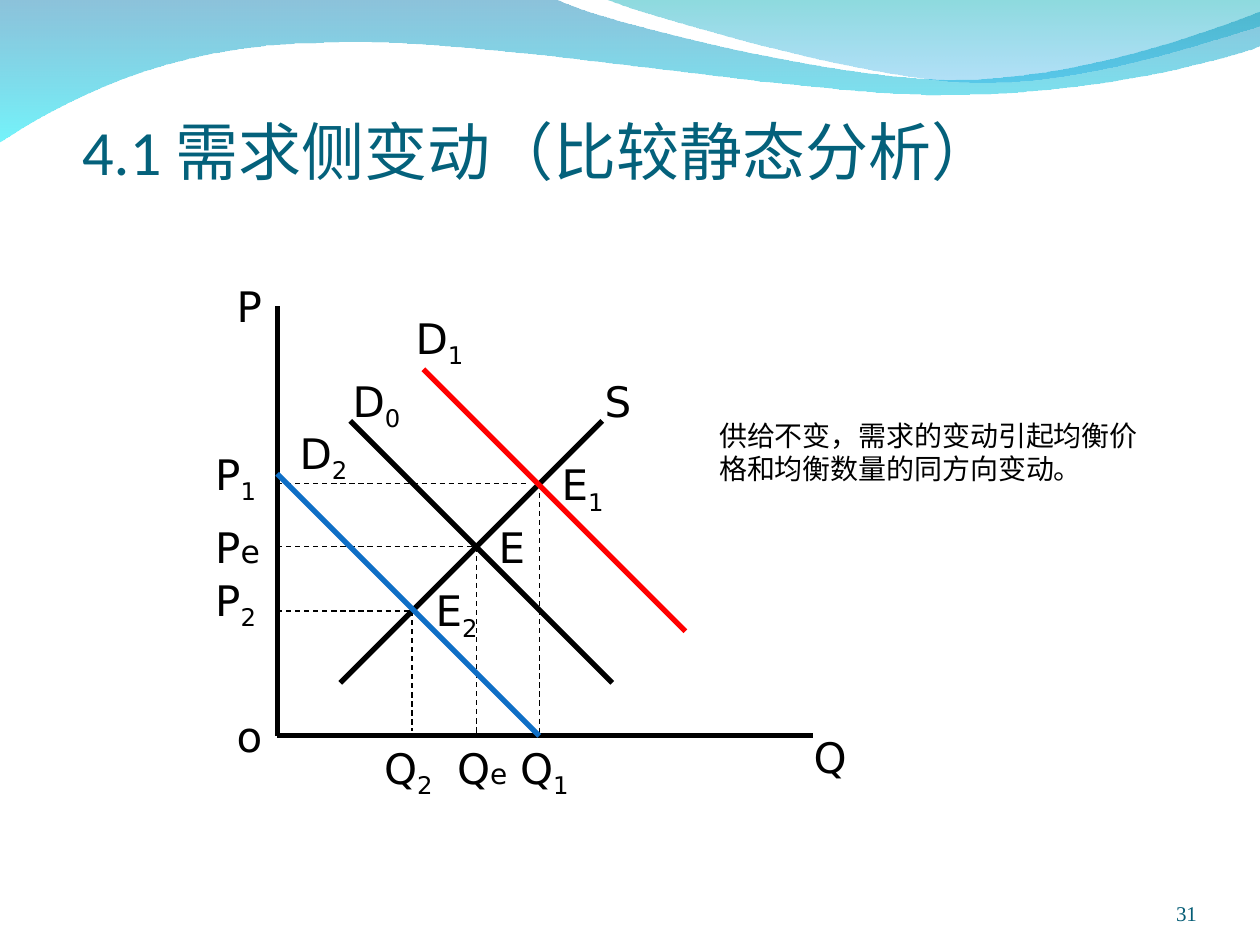
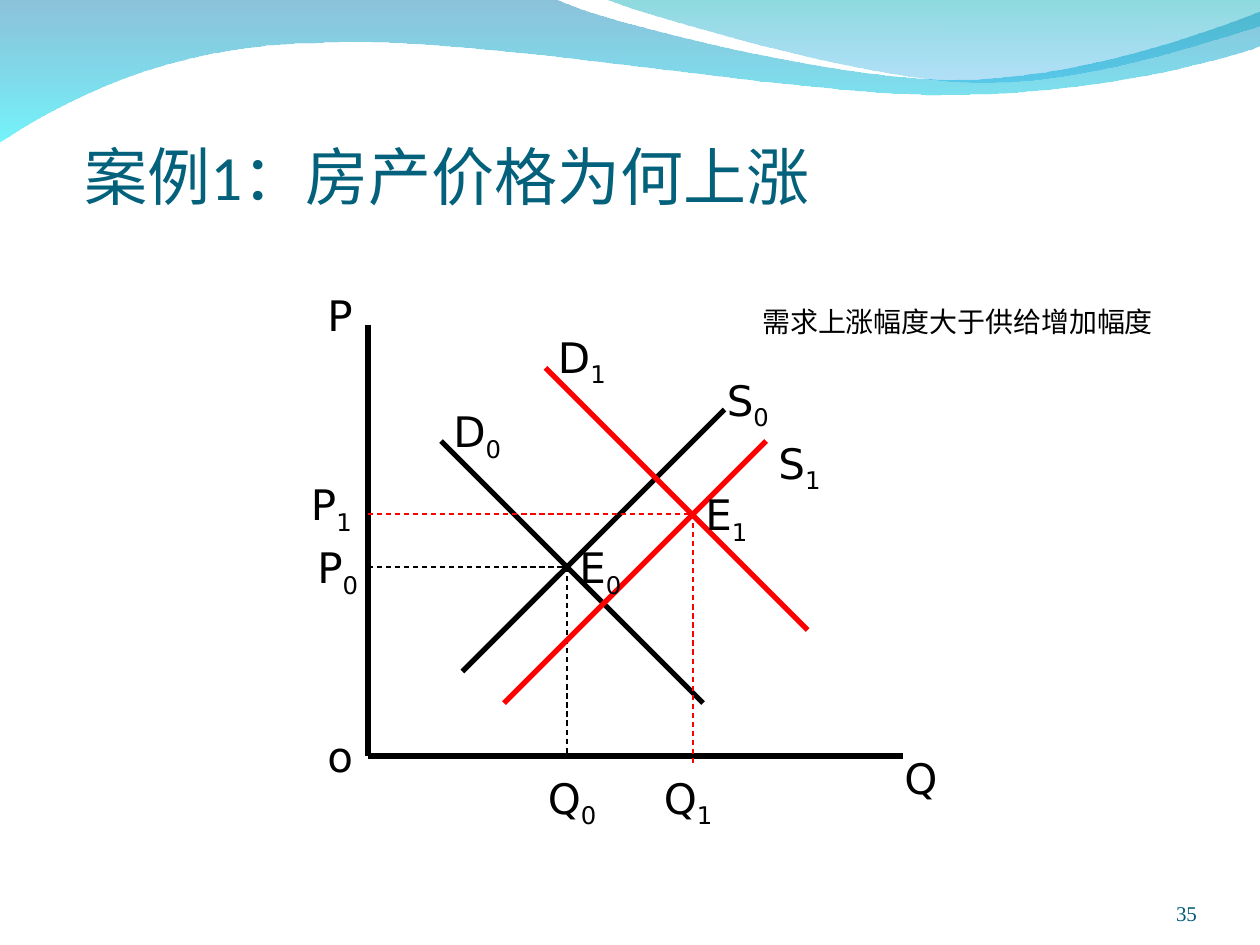
from lxml import etree
from pptx import Presentation
from pptx import util as u
from pptx.dml.color import RGBColor
from pptx.enum import dml, shapes, text
from pptx.oxml import ns

BLACK = RGBColor(0x00, 0x00, 0x00)
RED = RGBColor(0xFF, 0x00, 0x00)
BLUE = RGBColor(0x0F, 0x6F, 0xC6)
TITLE_TEAL = RGBColor(0x04, 0x61, 0x7B)
NUMBER_TEAL = RGBColor(0x04, 0x5C, 0x75)

# A wave is a start point, then steps of one point (line) or three (Bezier curve),
# and the top and bottom gradient colours with their opacity in percent.
WAVES = [
    ((0, -0.01),
     [[(4.4, -0.01)],
      [(4.76, 0.17), (6.64, 0.63), (7.58, 0.63)],
      [(8.53, 0.63), (9.58, 0.26), (10, 0.09)],
      [(10.01, 0.36)],
      [(9.83, 0.44), (8.7, 0.76), (7.46, 0.75)],
      [(6.22, 0.75), (3.82, 0.28), (2.57, 0.34)],
      [(1.29, 0.35), (0.46, 0.83), (-0.01, 1.13)],
      [(0, -0.01)]],
     [(RGBColor(0x00, 0x79, 0xAF), 45), (RGBColor(0x00, 0xEB, 0xF8), 55)]),
    ((4.79, -0.01),
     [[(5.09, 0.11), (6.82, 0.62), (7.69, 0.65)],
      [(8.56, 0.69), (9.61, 0.32), (10, 0.21)],
      [(10, 0)],
      [(4.79, -0.01)]],
     [(RGBColor(0x00, 0xAD, 0xB6), 45), (RGBColor(0x00, 0x9B, 0xE5), 30)]),
]

TITLE = {"size": 36, "name": "Calibri", "color": TITLE_TEAL}
NUMBER = {"size": 12, "name": "Times New Roman", "color": NUMBER_TEAL}
NOTE = {"size": 16, "name": "Times New Roman", "color": BLACK}
LABEL = {"size": 24, "name": "DejaVu Sans", "color": BLACK}

PADDED = (0.1, 0.05, 0.1, 0.05)
TITLE_INSETS = (0, 0.05, 0, 0)
FLUSH = (0, 0, 0, 0)
CURVE_SPAN = 2.08
AXIS_WIDTH = 4.25


def bend_segments(shape, steps):
    """Turn the straight segments of three-point steps into Bezier curves."""
    segments = list(shape._element.iter(ns.qn("a:lnTo")))
    for segment, step in zip(segments, steps):
        if len(step) == 1:
            continue
        curve = etree.Element(ns.qn("a:cubicBezTo"))
        for x, y in step:
            etree.SubElement(curve, ns.qn("a:pt"), x=str(u.Inches(x) - shape.left),
                             y=str(u.Inches(y) - shape.top))
        segment.getparent().replace(segment, curve)


class MarketDeck:
    """Holds the presentation, the current page and the origin of its diagram."""

    def __init__(self):
        self.deck = Presentation()
        self.deck.slide_width = u.Inches(10)
        self.deck.slide_height = u.Inches(7.5)
        self.page = None
        self.origin = None

    def add_page(self, title, title_place, number):
        self.page = self.deck.slides.add_slide(self.deck.slide_layouts[6])
        for wave in WAVES:
            self.wave(*wave)
        bottom = text.MSO_ANCHOR.BOTTOM
        self.text(number, (8.67, 6.95, 0.83, 0.4), NUMBER, FLUSH, bottom,
                  text.PP_ALIGN.RIGHT)
        self.text(title, title_place, TITLE, TITLE_INSETS, bottom)

    def wave(self, start, steps, colours):
        ends = [tuple(map(u.Inches, step[-1])) for step in steps]
        builder = self.page.shapes.build_freeform(*map(u.Inches, start))
        builder.add_line_segments(ends, close=True)
        shape = builder.convert_to_shape()
        bend_segments(shape, steps)
        shape.shadow.inherit = False
        shape.line.fill.background()
        shape.fill.gradient()
        shape.fill.gradient_angle = 270
        for stop, position, (colour, _) in zip(shape.fill.gradient_stops, (0, 1), colours):
            stop.position = position
            stop.color.rgb = colour
        for tone, (_, opacity) in zip(shape._element.iter(ns.qn("a:srgbClr")), colours):
            etree.SubElement(tone, ns.qn("a:alpha"), val=str(opacity * 1000))

    def text(self, words, place, style, insets=PADDED, anchor=text.MSO_ANCHOR.TOP,
             align=text.PP_ALIGN.LEFT, grow=False):
        """Add a one-paragraph text box and return its paragraph."""
        box = self.page.shapes.add_textbox(*map(u.Inches, place))
        left, top, right, bottom = map(u.Inches, insets)
        frame_format = {"word_wrap": True, "vertical_anchor": anchor,
                        "margin_left": left, "margin_top": top,
                        "margin_right": right, "margin_bottom": bottom}
        if grow:
            frame_format["auto_size"] = text.MSO_AUTO_SIZE.SHAPE_TO_FIT_TEXT
        for name, value in frame_format.items():
            setattr(box.text_frame, name, value)
        para = box.text_frame.paragraphs[0]
        para.alignment = align
        self.span(para, words, style)
        return para

    def span(self, para, words, style):
        span = para.add_run()
        span.text = words
        for name, value in {"size": u.Pt(style["size"]), "name": style["name"]}.items():
            setattr(span.font, name, value)
        span.font.color.rgb = style["color"]
        return span

    def label(self, letter, x, y, subscript="", small="", small_size=16, width=1):
        """Add a diagram label, with a subscript or a smaller letter after it."""
        height = 0.56 if subscript else 0.5
        para = self.text(letter, (x, y, width, height), LABEL, grow=True)
        if subscript:
            span = self.span(para, subscript, LABEL)
            span.font._element.set("baseline", "-25000")
        if small:
            self.span(para, small, {**LABEL, "size": small_size})

    def line(self, start, end, colour=BLACK, width=3, dashed=False):
        connector = self.page.shapes.add_connector(
            shapes.MSO_CONNECTOR.STRAIGHT, *map(u.Inches, (*start, *end)))
        connector.line.color.rgb = colour
        connector.line.width = u.Pt(width)
        if dashed:
            connector.line.dash_style = dml.MSO_LINE.DASH
        etree.SubElement(connector._element.spPr, ns.qn("a:effectLst"))

    def axes(self, x, y, top, price_label_y):
        self.origin = x, y
        self.line((x, top), (x, y))
        self.line((x, y), (x + AXIS_WIDTH, y))
        for letter, left, label_top in (("P", x - 0.42, price_label_y),
                                        ("o", x - 0.42, y - 0.25),
                                        ("Q", x + 4.16, y - 0.08)):
            self.label(letter, left, label_top, width=0.58)

    def demand(self, x, y, colour=BLACK):
        self.line((x, y), (x + CURVE_SPAN, y + CURVE_SPAN), colour)

    def supply(self, x, y, colour=BLACK):
        self.line((x, y), (x + CURVE_SPAN, y - CURVE_SPAN), colour)

    def guides(self, x, y, colour=BLACK, gap=0, overrun=0):
        """Draw dashed lines from an equilibrium to both axes."""
        left, bottom = self.origin
        self.line((left, y), (x - gap, y), colour, 0.75, True)
        self.line((x, y), (x, bottom + overrun), colour, 0.75, True)


def add_demand_shift(deck):
    deck.add_page("4.1 需求侧变动（比较静态分析）", (0.65, 0.83, 8.5, 0.66), "31")
    deck.axes(2.2, 5.84, 2.43, 2.18)
    deck.demand(2.78, 3.34)
    deck.supply(2.7, 5.42)
    deck.guides(3.78, 4.34)
    deck.guides(4.28, 3.84, gap=0.08)
    deck.guides(3.27, 4.85, overrun=-0.04)
    deck.demand(3.36, 2.93, RED)
    deck.demand(2.2, 3.76, BLUE)
    for letter, subscript, x, y in (
            ("D", "0", 2.7, 2.93), ("D", "1", 3.2, 2.43), ("D", "2", 2.28, 3.34),
            ("E", "1", 4.36, 3.59), ("E", "2", 3.36, 4.59),
            ("P", "1", 1.61, 3.51), ("P", "2", 1.61, 4.51)):
        deck.label(letter, x, y, subscript)
    for subscript, x in (("1", 4.03), ("2", 2.95)):
        deck.label("Q", x, 5.84, subscript, width=0.67)
    deck.label("S", 4.7, 2.93, width=0.58)
    deck.label("E", 3.86, 4.09, width=0.42)
    deck.label("P", 1.61, 4.09, small="e", small_size=18, width=0.92)
    deck.label("Q", 3.53, 5.84, small="e", width=0.67)
    deck.text("供给不变，需求的变动引起均衡价格和均衡数量的同方向变动。",
              (5.61, 3.27, 3.54, 0.64), NOTE, grow=True)


def add_housing_case(deck):
    deck.add_page("案例1：房产价格为何上涨", (0.67, 0.97, 9, 0.72), "35")
    deck.axes(2.92, 6, 2.58, 2.25)
    deck.demand(3.5, 3.5)
    deck.supply(3.67, 5.33)
    deck.guides(4.5, 4.5)
    deck.supply(4, 5.58, RED)
    deck.demand(4.33, 2.92, RED)
    deck.guides(5.5, 4.08, RED, overrun=0.08)
    for letter, subscript, x, y in (
            ("S", "0", 5.67, 2.92), ("S", "1", 6.08, 3.42),
            ("D", "0", 3.5, 3.17), ("D", "1", 4.33, 2.58),
            ("E", "0", 4.5, 4.25), ("E", "1", 5.5, 3.83),
            ("P", "0", 2.42, 4.25), ("P", "1", 2.37, 3.75),
            ("Q", "0", 4.25, 6.08), ("Q", "1", 5.17, 6.08)):
        deck.label(letter, x, y, subscript)
    deck.text("需求上涨幅度大于供给增加幅度", (6.05, 2.27, 3.38, 0.41),
              {**NOTE, "name": "Calibri"}, TITLE_INSETS, text.MSO_ANCHOR.BOTTOM)


def main():
    market = MarketDeck()
    add_demand_shift(market)
    add_housing_case(market)
    market.deck.save("out.pptx")


if __name__ == "__main__":
    main()
